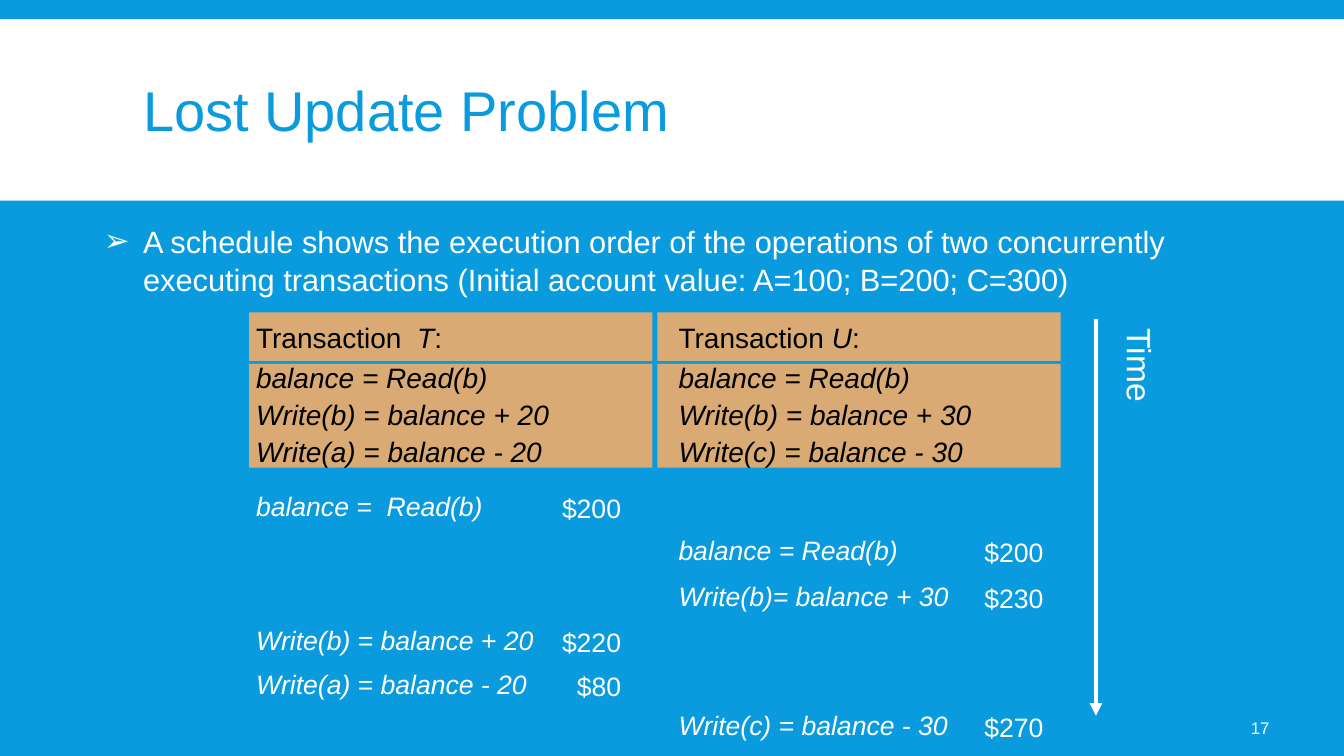
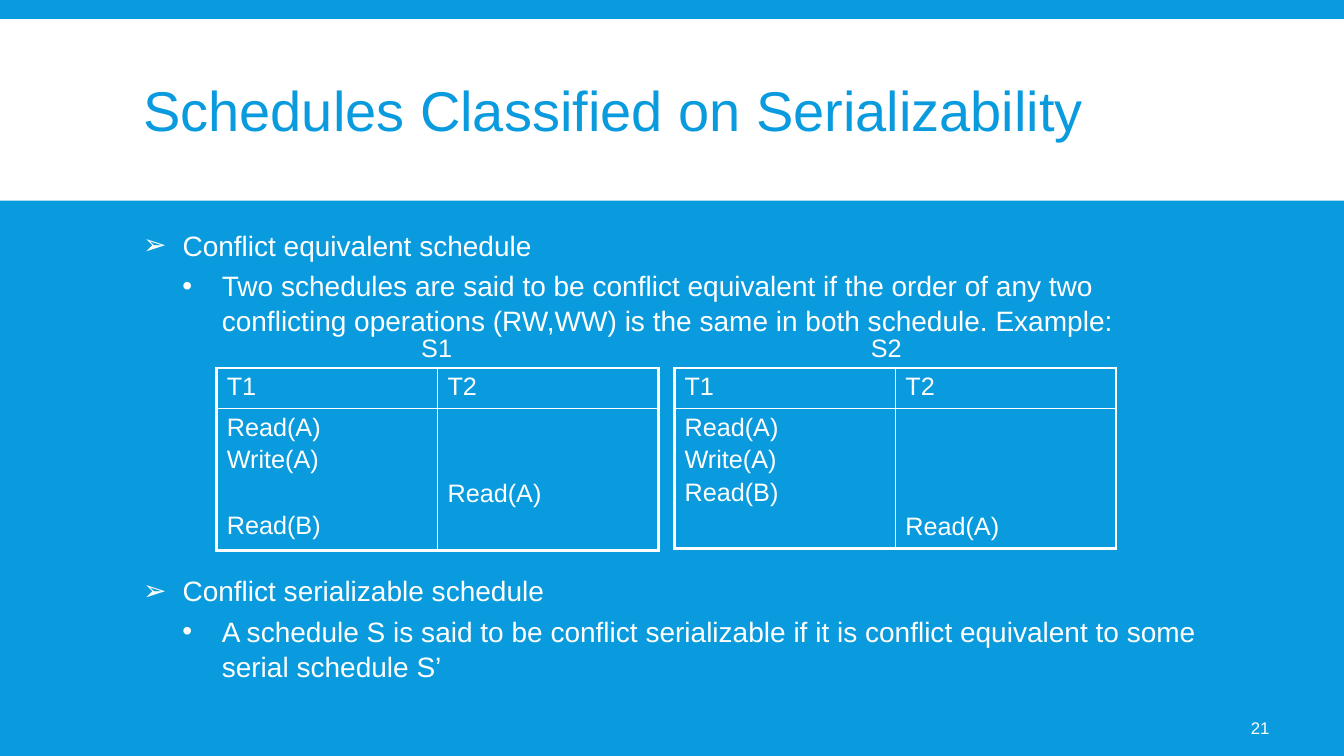
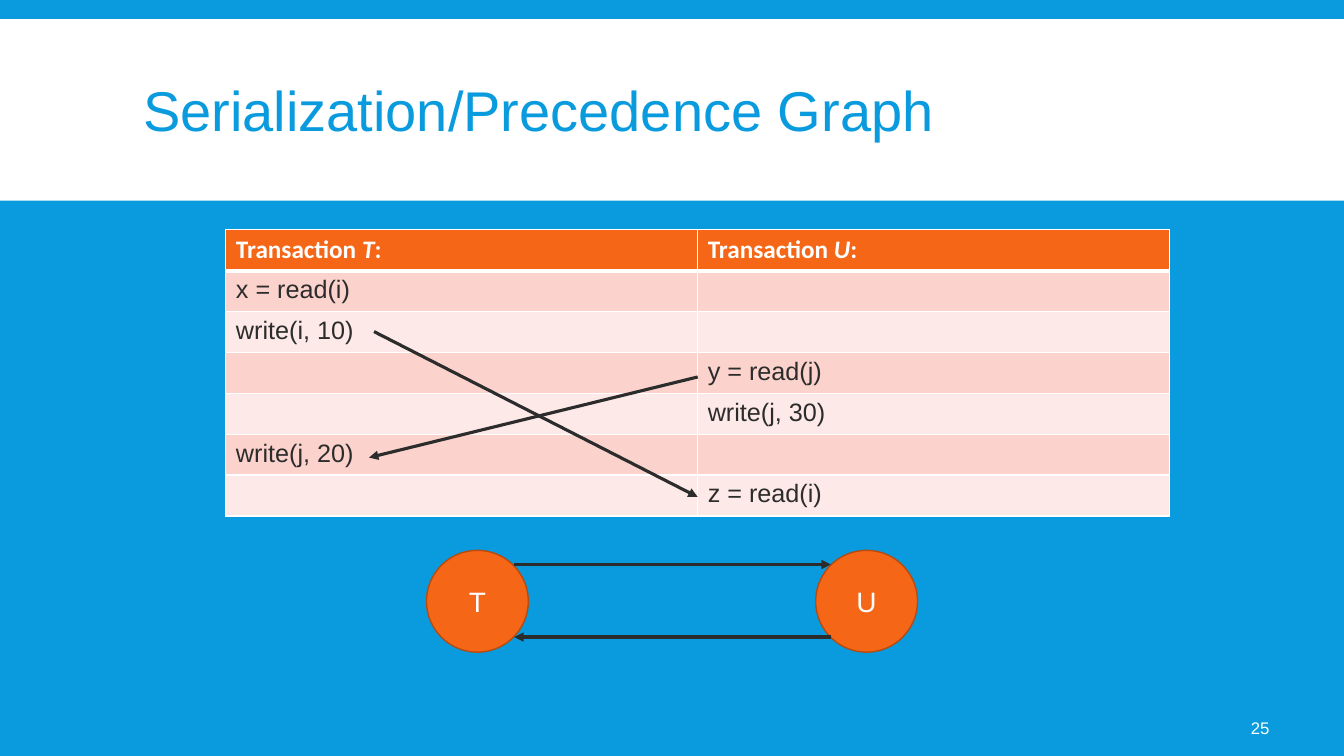
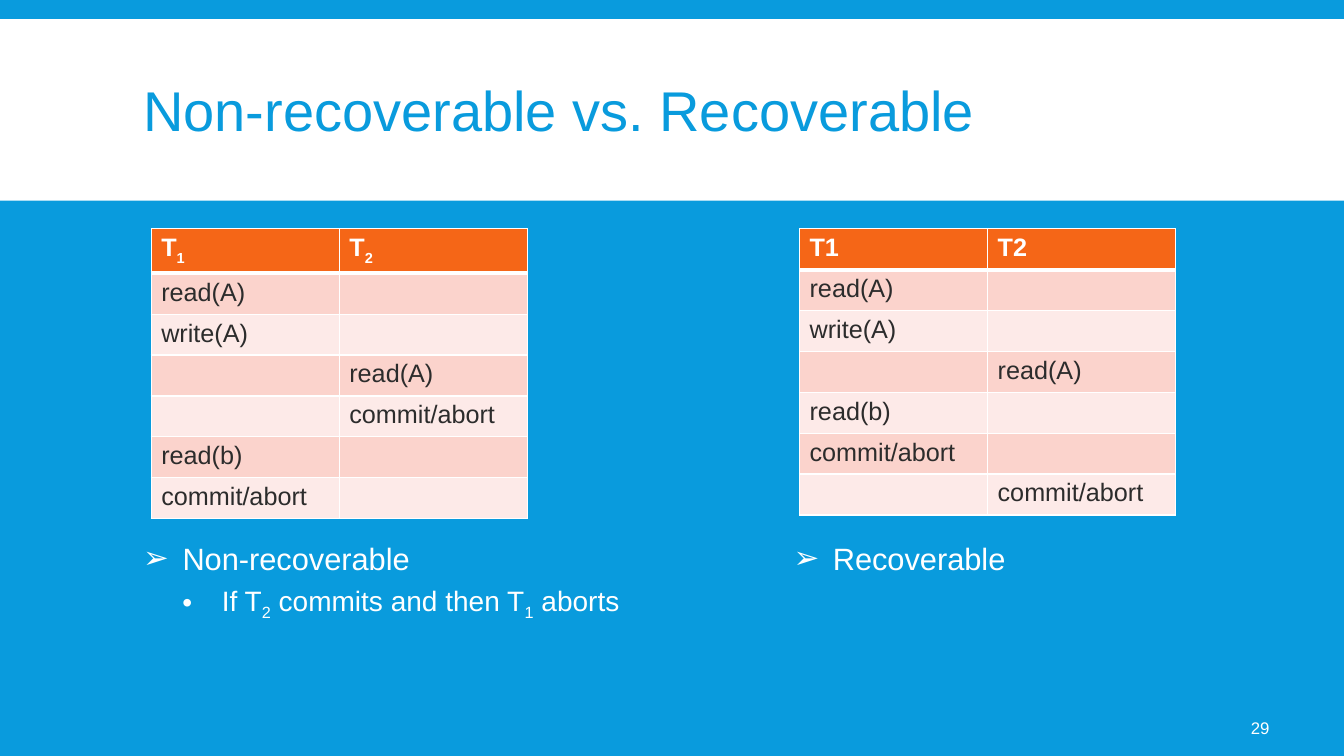
from lxml import etree
from pptx import Presentation
from pptx.dml.color import RGBColor
from pptx.enum.shapes import MSO_CONNECTOR as Connector, MSO_SHAPE as Shape
from pptx.enum.text import MSO_ANCHOR as Anchor, MSO_AUTO_SIZE as AutoSize, PP_ALIGN as Align
from pptx.oxml.ns import qn
from pptx.util import Inches, Pt

COLORS = {
    "blue": "099BDD", "white": "FFFFFF", "black": "000000", "tan": "D9AA73",
    "orange": "F56617", "rust": "B54B11", "ink": "2C2C2C",
    "rose": "FBD3CC", "blush": "FDEAE8",
}
FONT = "Arial"
BULLETS = ("➢", "•")
TITLE_BOX = (1.32, 0.31, 10.7, 1.65)
LINE_GAP = 3        # points between the lines of a schedule cell
LINE_PITCH = 23.7   # points from one line of a schedule cell to the next


def rgb(name):
    return RGBColor.from_string(COLORS[name])


def inches(*lengths):
    return [Inches(length) for length in lengths]


# Text
def add_runs(paragraph, content, size, color="white", font=FONT, bold=False, italic=False):
    """Content is a string or a list of (text, mark); a mark is "", "i" or "sub"."""
    for text, mark in [(content, "")] if isinstance(content, str) else content:
        run = paragraph.add_run()
        run.text = text
        run.font.name, run.font.size = font, Pt(size)
        run.font.bold, run.font.italic = bold, italic or mark == "i"
        run.font.color.rgb = rgb(color)
        if mark == "sub":
            run._r.get_or_add_rPr().set("baseline", "-25000")


def set_margins(part, left, top, right, bottom):
    part.margin_left, part.margin_top, part.margin_right, part.margin_bottom = inches(
        left, top, right, bottom)


def add_label(slide, box, content, size, color="white", italic=False,
              align=Align.LEFT, margins=(0, 0, 0, 0)):
    frame = slide.shapes.add_textbox(*inches(*box)).text_frame
    frame.word_wrap = True
    set_margins(frame, *margins)
    frame.paragraphs[0].alignment = align
    add_runs(frame.paragraphs[0], content, size, color, italic=italic)
    return frame


def place(placeholder, box):
    placeholder.left, placeholder.top, placeholder.width, placeholder.height = inches(*box)
    frame = placeholder.text_frame
    frame.word_wrap, frame.auto_size = True, AutoSize.NONE
    return frame


def set_bullet(paragraph, level):
    properties = paragraph._p.get_or_add_pPr()
    properties.set("marL", str(Inches(0.39 * (level + 1))))
    properties.set("indent", str(Inches(-0.39)))
    color = etree.SubElement(properties, qn("a:buClr"))
    etree.SubElement(color, qn("a:srgbClr"), val=COLORS["white"])
    etree.SubElement(properties, qn("a:buFont"), typeface=FONT)
    etree.SubElement(properties, qn("a:buChar"), char=BULLETS[level])


def fill_list(placeholder, box, items):
    """Items are (level, size, content) or (level, size, content, space before)."""
    frame = place(placeholder, box)
    frame.vertical_anchor = Anchor.TOP
    for index, (level, size, content, *before) in enumerate(items):
        paragraph = frame.add_paragraph() if index else frame.paragraphs[0]
        set_bullet(paragraph, level)
        paragraph.level = level
        paragraph.alignment = Align.LEFT
        paragraph.line_spacing = 1.04
        usual = 2 if level else 12
        paragraph.space_before = Pt((before[0] if before else usual) if index else 0)
        paragraph.space_after = Pt(4 if level else 2)
        add_runs(paragraph, content, size)


# Shapes and lines
def add_block(shapes, kind, box, fill, line=None):
    block = shapes.add_shape(kind, *inches(*box))
    block.shadow.inherit = False
    block.fill.solid()
    block.fill.fore_color.rgb = rgb(fill)
    if line:
        block.line.color.rgb, block.line.width = rgb(line), Pt(1)
    else:
        block.line.fill.background()
    return block


def add_arrow(slide, start, end, color, width):
    arrow = slide.shapes.add_connector(Connector.STRAIGHT, *inches(*start, *end))
    arrow.line.color.rgb, arrow.line.width = rgb(color), Pt(width)
    etree.SubElement(arrow.line._get_or_add_ln(), qn("a:tailEnd"), type="triangle")
    etree.SubElement(arrow._element.spPr, qn("a:effectLst"))


# Tables
def set_borders(cell, left, right, top, bottom):
    properties = cell._tc.get_or_add_tcPr()
    for side, width in zip("LRTB", (left, right, top, bottom)):
        border = etree.SubElement(properties, qn(f"a:ln{side}"), w=str(Pt(width)))
        paint = etree.SubElement(border, qn("a:solidFill"))
        etree.SubElement(paint, qn("a:srgbClr"), val=COLORS["white"])


def new_table(slide, box, row_count):
    table = slide.shapes.add_table(row_count, 2, *inches(*box)).table
    table.first_row = table.horz_banding = False
    return table


def add_banded_table(slide, box, header, steps, header_font=FONT):
    """Steps are (column, operation), one for each row."""
    table = new_table(slide, box, len(steps) + 1)
    rows = [header] + [[text if side == column else "" for side in (0, 1)]
                       for column, text in steps]
    for r, row in enumerate(rows):
        for c, content in enumerate(row):
            cell = table.cell(r, c)
            set_borders(cell, 1, 1, 3 if r == 1 else 1, 1 if r else 3)
            cell.fill.solid()
            cell.fill.fore_color.rgb = rgb(("blush", "rose")[r % 2] if r else "orange")
            if content and r:
                add_runs(cell.text_frame.paragraphs[0], content, 18, "ink")
            elif content:
                add_runs(cell.text_frame.paragraphs[0], content, 18, font=header_font, bold=True)


def add_schedule(slide, left, name, name_left, columns):
    """Each column is a list of (line number, operation)."""
    add_label(slide, (name_left, 3.25, 0.8, 0.4), name, 18, margins=(0.1, 0.05, 0.1, 0.05))
    table = new_table(slide, (left, 3.65, 4.38, 1.76), 2)
    table.rows[0].height, table.rows[1].height = inches(0.39, 1.37)
    for c, operations in enumerate(columns):
        for r, lines in enumerate(([(0, f"T{c + 1}")], operations)):
            cell = table.cell(r, c)
            set_borders(cell, 1 if c else 2.25, 2.25 if c else 1,
                        1 if r else 2.25, 2.25 if r else 1)
            cell.fill.background()
            first = lines[0][0]
            cell.margin_top = Inches(0.05) + Pt(LINE_PITCH * first)
            previous = first
            for index, (number, text) in enumerate(lines):
                frame = cell.text_frame
                paragraph = frame.add_paragraph() if index else frame.paragraphs[0]
                if index:
                    skipped = number - previous - 1
                    paragraph.space_before = Pt(LINE_GAP + LINE_PITCH * skipped)
                add_runs(paragraph, text, 18)
                previous = number


# What the slides share
def style_master(prs):
    master = prs.slide_master
    master.background.fill.solid()
    master.background.fill.fore_color.rgb = rgb("blue")


def move_to_master(prs, band):
    band._element.nvSpPr.cNvPr.set("id", "20")
    prs.slide_master.shapes.element.insert(2, band._element)


def start_slide(prs, layout, title, number):
    slide = prs.slides.add_slide(prs.slide_layouts.get_by_name(layout))
    if len(prs.slides) == 1:
        move_to_master(prs, add_block(slide.shapes, Shape.RECTANGLE, (0, 0.19, 13.33, 1.8), "white"))
    frame = place(slide.shapes.title, TITLE_BOX)
    frame.vertical_anchor = Anchor.MIDDLE
    heading = frame.paragraphs[0]
    heading.alignment, heading.line_spacing = Align.LEFT, 0.85
    add_runs(heading, title, 40, "blue")
    footer = add_label(slide, (11.66, 7.02, 1.03, 0.4), number, 12, align=Align.RIGHT,
                       margins=(0.05, 0.05, 0.1, 0.05))
    footer.vertical_anchor = Anchor.MIDDLE
    return slide


# Slides
def lost_update(prs):
    slide = start_slide(prs, "Title and Content", "Lost Update Problem", "17")
    fill_list(slide.placeholders[1], (0.93, 2.14, 11.56, 0.9), [
        (0, 22, "A schedule shows the execution order of the operations of two concurrently "
                "executing transactions (Initial account value: A=100; B=200; C=300)")])

    # Definitions of the two transactions
    transactions = [
        (2.47, 2.54, [("Transaction  ", ""), ("T", "i"), (":", "")],
         ["balance = Read(b)", "Write(b) = balance + 20", "Write(a) = balance - 20"]),
        (6.52, 6.73, [("Transaction ", ""), ("U", "i"), (":", "")],
         ["balance = Read(b)", "Write(b) = balance + 30", "Write(c) = balance - 30"]),
    ]
    for panel_left, text_left, heading, operations in transactions:
        add_block(slide.shapes, Shape.RECTANGLE, (panel_left, 3.1, 4, 0.48), "tan")
        add_block(slide.shapes, Shape.RECTANGLE, (panel_left, 3.61, 4, 1.03), "tan")
        add_label(slide, (text_left, 3.18, 3.5, 0.34), heading, 20, "black")
        for top, operation in zip((3.58, 3.94, 4.31), operations):
            add_label(slide, (text_left, top, 3.5, 0.34), operation, 20, "black", italic=True)

    # Interleaved execution, with the value after each step
    steps = [
        (4.86, 2.54, "balance =  Read(b)", "$200"),
        (5.3, 6.73, "balance = Read(b)", "$200"),
        (5.75, 6.73, "Write(b)= balance + 30", "$230"),
        (6.19, 2.54, "Write(b) = balance + 20", "$220"),
        (6.63, 2.54, "Write(a) = balance - 20", "$80"),
        (7.03, 6.73, "Write(c) = balance - 30", "$270"),
    ]
    for top, left, operation, amount in steps:
        add_label(slide, (left, top, 2.9, 0.32), operation, 19, italic=True)
        add_label(slide, (left + 2.92, top + 0.02, 0.7, 0.32), amount, 19, align=Align.RIGHT)

    # Time axis
    add_arrow(slide, (10.87, 3.16), (10.87, 7.1), "white", 3)
    time = add_label(slide, (10.96, 3.16, 0.6, 2.28), "Time", 24, margins=(0.1, 0.05, 0.1, 0.05))
    time._txBody.bodyPr.set("vert", "eaVert")


def conflict_schedules(prs):
    slide = start_slide(prs, "Title and Content", "Schedules Classified on Serializability", "21")
    fill_list(slide.placeholders[1], (1.32, 2.2, 10.7, 4.6), [
        (0, 20, "Conflict equivalent schedule"),
        (1, 20, "Two schedules are said to be conflict equivalent if the order of any two "
                "conflicting operations (RW,WW) is the same in both schedule. Example:"),
        (0, 20, "Conflict serializable schedule", 164),
        (1, 20, "A schedule S is said to be conflict serializable if it is conflict "
                "equivalent to some serial schedule S’"),
    ])
    add_schedule(slide, 2.15, "S1", 4.08, [
        [(0, "Read(A)"), (1, "Write(A)"), (3, "Read(B)")], [(2, "Read(A)")]])
    add_schedule(slide, 6.69, "S2", 8.54, [
        [(0, "Read(A)"), (1, "Write(A)"), (2, "Read(B)")], [(3, "Read(A)")]])


def precedence_graph(prs):
    slide = start_slide(prs, "Title Only", "Serialization/Precedence Graph", "25")
    header = [[("Transaction ", ""), (name, "i"), (":", "")] for name in "TU"]
    add_banded_table(slide, (2.24, 2.28, 9.36, 2.84), header, [
        (0, "x = read(i)"), (0, "write(i, 10)"), (1, "y = read(j)"),
        (1, "write(j, 30)"), (0, "write(j, 20)"), (1, "z = read(i)"),
    ], header_font="Calibri")

    # Graph nodes
    for left, name in ((4.23, "T"), (8.09, "U")):
        node = add_block(slide.shapes, Shape.OVAL, (left, 5.46, 1.01, 1.01), "orange", "rust")
        node.text_frame.vertical_anchor = Anchor.MIDDLE
        node.text_frame.paragraphs[0].alignment = Align.CENTER
        add_runs(node.text_frame.paragraphs[0], name, 20)

    # Conflicts in the table, then edges of the graph
    for start, end in (((3.71, 3.29), (6.92, 4.93)), ((6.92, 3.74), (3.66, 4.54)),
                       ((5.1, 5.6), (8.24, 5.6)), ((8.24, 6.32), (5.1, 6.32))):
        add_arrow(slide, start, end, "ink", 2.25)


def recoverability(prs):
    slide = start_slide(prs, "Two Content", "Non-recoverable vs. Recoverable", "29")
    fill_list(slide.placeholders[1], (1.32, 5.29, 5.8, 1.51), [
        (0, 22, "Non-recoverable"),
        (1, 20, [("If T", ""), ("2", "sub"), (" commits and then T", ""),
                 ("1", "sub"), (" aborts", "")]),
    ])
    fill_list(slide.placeholders[2], (7.77, 5.29, 5.2, 1.51), [(0, 22, "Recoverable")])
    opening = [(0, "read(A)"), (0, "write(A)"), (1, "read(A)")]
    add_banded_table(slide, (1.5, 2.27, 3.73, 2.84),
                     [[("T", ""), (number, "sub")] for number in "12"],
                     opening + [(1, "commit/abort"), (0, "read(b)"), (0, "commit/abort")])
    add_banded_table(slide, (7.93, 2.27, 3.73, 2.84), ["T1", "T2"],
                     opening + [(0, "read(b)"), (0, "commit/abort"), (1, "commit/abort")])


def main():
    prs = Presentation()
    prs.slide_width, prs.slide_height = inches(13.33, 7.5)
    style_master(prs)
    for build in (lost_update, conflict_schedules, precedence_graph, recoverability):
        build(prs)
    prs.save("out.pptx")


if __name__ == "__main__":
    main()
